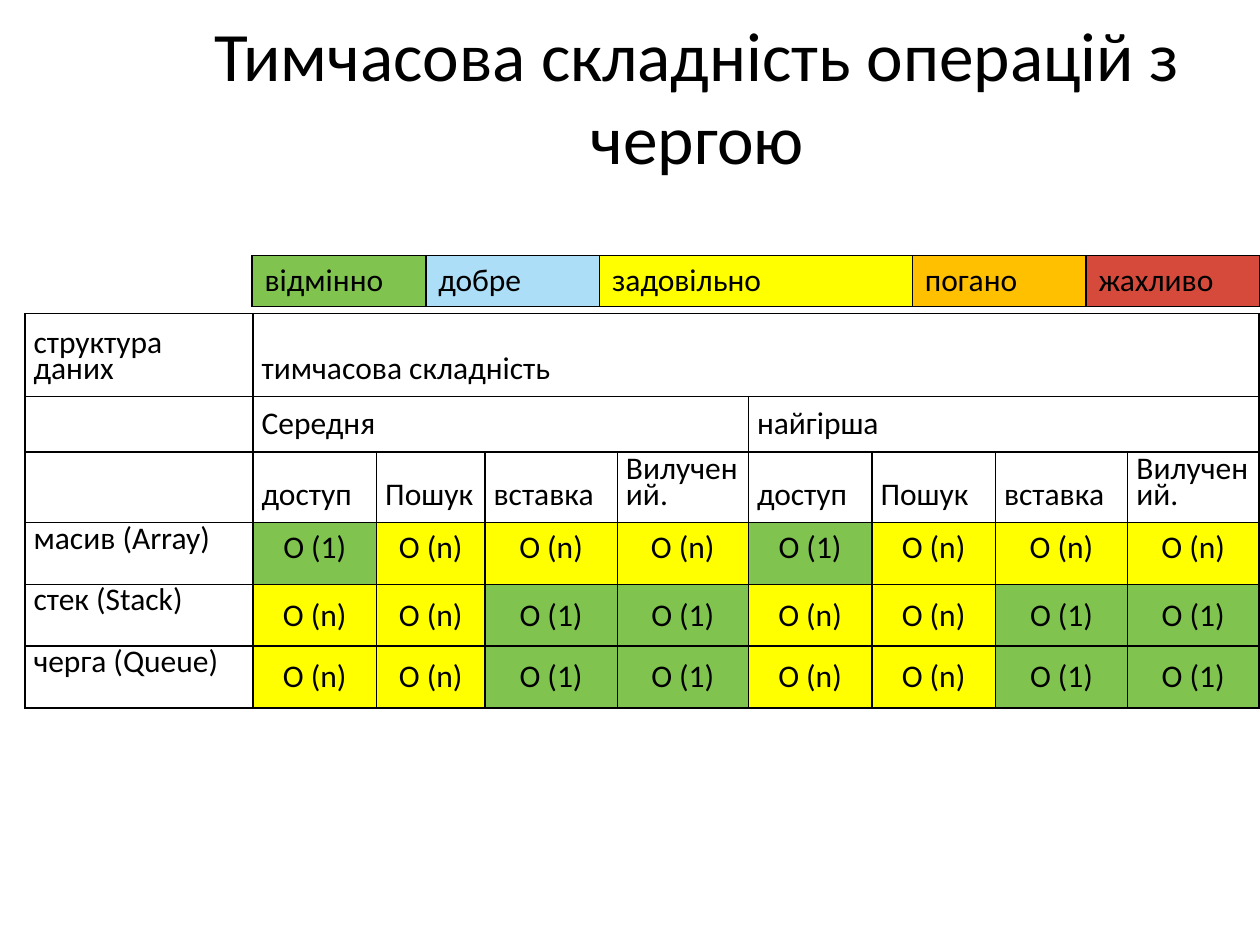
from dataclasses import dataclass

from lxml.etree import SubElement
from pptx import Presentation
from pptx.dml.color import RGBColor as Rgb
from pptx.enum.text import MSO_ANCHOR as Anchor, PP_ALIGN as Align
from pptx.oxml.ns import qn
from pptx.util import Pt


@dataclass(frozen=True)
class Theme:
    """Colours, font and type sizes of the slide."""
    font: str = "Calibri"
    title_size: float = 39.6
    body_size: float = 18
    ink: str = "000000"
    excellent: str = "80C34F"
    good: str = "ACDEF7"
    fair: str = "FFFF00"
    poor: str = "FFC000"
    awful: str = "D64A3B"


THEME = Theme()
TIGHT = {"line_spacing": Pt(15)}
CENTRED = {"alignment": Align.CENTER}
OPERATIONS = ["доступ", "Пошук", "вставка", "Вилучений."]
RATINGS = {"O (1)": THEME.excellent, "O (n)": THEME.fair}
STRUCTURES = {
    "масив (Array)": ["O (1)", "O (n)", "O (n)", "O (n)"],
    "стек (Stack)": ["O (n)", "O (n)", "O (1)", "O (1)"],
    "черга (Queue)": ["O (n)", "O (n)", "O (1)", "O (1)"],
}


def apply(target, formats):
    """Set each format value on the target."""
    for name, value in formats.items():
        setattr(target, name, value)


def write(frame, lines, size, formats):
    """Write one paragraph for each line."""
    for index, line in enumerate(lines):
        paragraph = frame.add_paragraph() if index else frame.paragraphs[0]
        apply(paragraph, formats)
        run = paragraph.add_run()
        run.text = line
        apply(run.font, {"name": THEME.font, "size": Pt(size)})
        run.font.color.rgb = Rgb.from_string(THEME.ink)


def margins(inset):
    """Return equal cell margins."""
    return {f"margin_{side}": Pt(inset) for side in ("left", "right", "top", "bottom")}


def outline(cell):
    """Draw a one-point border on all four sides."""
    properties = cell._tc.get_or_add_tcPr()
    for side in ("lnL", "lnR", "lnT", "lnB"):
        border = SubElement(properties, qn(f"a:{side}"), w=str(Pt(1)))
        solid = SubElement(border, qn("a:solidFill"))
        SubElement(solid, qn("a:srgbClr"), val=THEME.ink)


def add_grid(slide, left, top, widths, heights):
    """Add a plain outlined table with the given columns and rows."""
    grid = slide.shapes.add_table(len(heights), len(widths), Pt(left), Pt(top),
                                  Pt(sum(widths)), Pt(sum(heights))).table
    apply(grid, {"first_row": False, "horz_banding": False})
    for column, width in zip(grid.columns, widths):
        column.width = Pt(width)
    for row, height in zip(grid.rows, heights):
        row.height = Pt(height)
    for cell in grid.iter_cells():
        outline(cell)
        cell.fill.background()
    return grid


def fill_cell(cell, lines, paragraph_formats, cell_formats, colour=None):
    """Write and format one cell, with an optional fill."""
    apply(cell, cell_formats)
    write(cell.text_frame, lines, THEME.body_size, paragraph_formats)
    if colour:
        cell.fill.solid()
        cell.fill.fore_color.rgb = Rgb.from_string(colour)


def add_title(slide, left, top, width, height):
    """Place the centred slide title."""
    frame = slide.shapes.add_textbox(Pt(left), Pt(top), Pt(width), Pt(height)).text_frame
    apply(frame, {"word_wrap": True, "vertical_anchor": Anchor.MIDDLE})
    write(frame, ["Тимчасова складність операцій з чергою"], THEME.title_size, CENTRED)


def add_legend(slide, left, top, width, height):
    """Place the scale of ratings, with a wider middle step."""
    steps = {"відмінно": THEME.excellent, "добре": THEME.good, "задовільно": THEME.fair,
             "погано": THEME.poor, "жахливо": THEME.awful}
    shares = [1, 1, 1.8, 1, 1]
    widths = [width * share / sum(shares) for share in shares]
    legend = add_grid(slide, left, top, widths, [height])
    for cell, (label, colour) in zip(legend.iter_cells(), steps.items()):
        fill_cell(cell, [label], {}, {}, colour)


def add_complexity(slide, left, top, width, height):
    """Place the table of average and worst complexity."""
    column_shares = [1.81, 0.98, 0.86, 1.05, 1.04, 0.98, 0.98, 1.05, 1.04]
    row_shares = [0.66, 0.44, 0.56, 0.49, 0.49, 0.49]
    widths = [width * share / sum(column_shares) for share in column_shares]
    heights = [height * share / sum(row_shares) for share in row_shares]
    grid = add_grid(slide, left, top, widths, heights)
    for row, first, last in ((0, 1, 8), (1, 1, 4), (1, 5, 8)):
        grid.cell(row, first).merge(grid.cell(row, last))

    headings = {(0, 0): ["структура", "даних"], (0, 1): ["тимчасова складність"],
                (1, 1): ["Середня"], (1, 5): ["найгірша"]}
    headings |= {(2, column): [name] for column, name in enumerate(OPERATIONS * 2, 1)}
    for place, lines in headings.items():
        fill_cell(grid.cell(*place), lines, TIGHT,
                  margins(5) | {"vertical_anchor": Anchor.BOTTOM})

    for row, (structure, costs) in enumerate(STRUCTURES.items(), 3):
        fill_cell(grid.cell(row, 0), [structure], TIGHT, margins(5))
        spacing, inset = (TIGHT, 5) if row == 3 else ({}, 6)
        for column, cost in enumerate(costs * 2, 1):
            fill_cell(grid.cell(row, column), [cost], CENTRED | spacing,
                      margins(inset) | {"vertical_anchor": Anchor.MIDDLE}, RATINGS[cost])


def main():
    """Build the slide and save it."""
    deck = Presentation()
    apply(deck, {"slide_width": Pt(720), "slide_height": Pt(540)})
    slide = deck.slides.add_slide(deck.slide_layouts[6])
    add_title(slide, 77, 0, 643, 108.7)
    add_complexity(slide, 14.2, 179.2, 705.2, 225.4)
    add_legend(slide, 144, 146, 576, 29.2)
    deck.save("out.pptx")


main()
